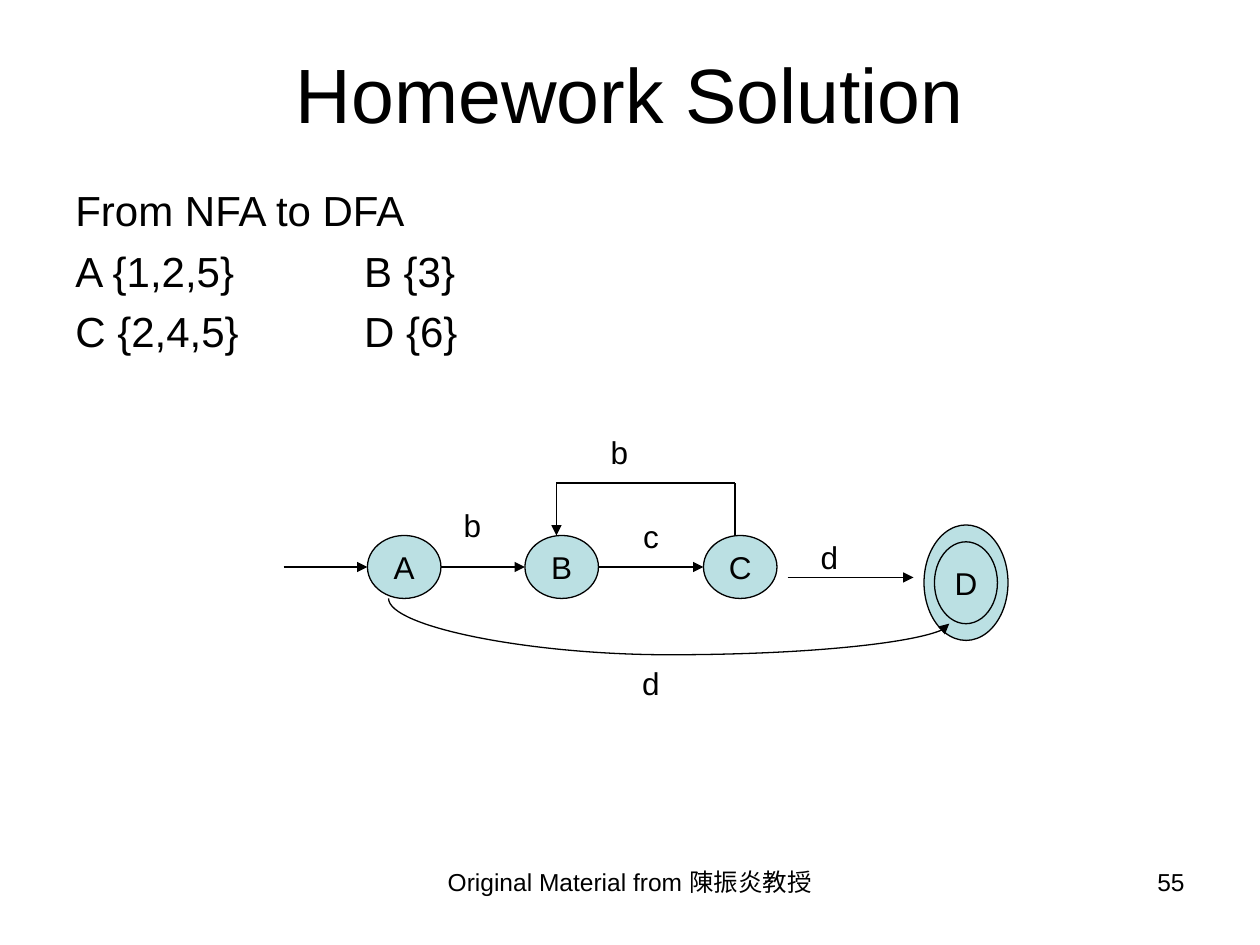
from typing import NamedTuple

from lxml import etree
from pptx import Presentation
from pptx.dml.color import RGBColor
from pptx.enum.shapes import MSO_CONNECTOR, MSO_SHAPE
from pptx.enum.text import MSO_ANCHOR, PP_ALIGN
from pptx.oxml.ns import qn
from pptx.util import Pt

PX = 7620  # EMU; 120 px to the inch
OVAL = MSO_SHAPE.OVAL
STRAIGHT, CURVE = MSO_CONNECTOR.STRAIGHT, MSO_CONNECTOR.CURVE
LEFT, CENTER, RIGHT = PP_ALIGN.LEFT, PP_ALIGN.CENTER, PP_ALIGN.RIGHT
TOP, MIDDLE = MSO_ANCHOR.TOP, MSO_ANCHOR.MIDDLE
COLORS = {"ink": "000000", "state": "BBE0E3"}
FONT = "Arial"
LINE_WIDTH = Pt(0.75)


class Box(NamedTuple):
    x: int
    y: int
    w: int
    h: int

    def emu(self) -> list[int]:
        return [v * PX for v in self]


class State(NamedTuple):
    name: str
    box: Box


class Label(NamedTuple):
    symbol: str
    x: int
    y: int


class Edge(NamedTuple):
    x1: int
    y1: int
    x2: int
    y2: int
    arrow: bool = True


class Caption(NamedTuple):
    lines: list[str]
    box: Box
    size: int
    align: PP_ALIGN
    anchor: MSO_ANCHOR = TOP


AXIS_Y = 540
STATE_W, STATE_H = 70, 60
STATES = [State(name, Box(x, AXIS_Y - STATE_H // 2, STATE_W, STATE_H))
          for name, x in (("A", 350), ("B", 500), ("C", 670))]
FINAL_RING = State("", Box(880, 500, 80, 110))
FINAL_CORE = State("D", Box(890, 516, 60, 78))

LOOP_Y, STATE_TOP = 460, AXIS_Y - STATE_H // 2
EDGES = [
    Edge(270, AXIS_Y, 350, AXIS_Y),
    Edge(420, AXIS_Y, 500, AXIS_Y),
    Edge(570, AXIS_Y, 670, AXIS_Y),
    Edge(750, 550, 870, 550),
    Edge(700, STATE_TOP, 700, LOOP_Y, False),
    Edge(700, LOOP_Y, 530, LOOP_Y, False),
    Edge(530, LOOP_Y, 530, STATE_TOP),
]
LABELS = [Label("b", 560, 410), Label("b", 420, 480), Label("c", 590, 490),
          Label("d", 590, 630), Label("d", 760, 510)]

TITLE = Caption(["Homework Solution"], Box(60, 36, 1080, 104), 44, CENTER, MIDDLE)
SUBSETS = Caption(["From NFA to DFA", "A {1,2,5}\tB {3}", "C {2,4,5}\tD {6}"],
                  Box(60, 170, 1080, 594), 24, LEFT)
SUBSETS_TAB = 275
CREDIT = Caption(["Original Material from 陳振炎教授"], Box(410, 820, 380, 62), 14, CENTER)
PAGE = Caption(["55"], Box(860, 820, 280, 62), 14, RIGHT)


def color(key: str) -> RGBColor:
    return RGBColor.from_string(COLORS[key])


def set_text(frame, lines: list[str], size: int, align, anchor, wrap: bool) -> None:
    frame.word_wrap = wrap
    frame.vertical_anchor = anchor
    frame.text = "\n".join(lines)
    for paragraph in frame.paragraphs:
        paragraph.alignment = align
        paragraph.font.size = Pt(size)
        paragraph.font.name = FONT
        paragraph.font.color.rgb = color("ink")


def add_caption(shapes, caption: Caption):
    frame = shapes.add_textbox(*caption.box.emu()).text_frame
    set_text(frame, caption.lines, caption.size, caption.align, caption.anchor, True)
    return frame


def add_label(shapes, label: Label) -> None:
    box = Box(label.x, label.y, 60, 40)
    frame = shapes.add_textbox(*box.emu()).text_frame
    set_text(frame, [label.symbol], 18, CENTER, MIDDLE, False)


def add_state(shapes, state: State) -> None:
    oval = shapes.add_shape(OVAL, *state.box.emu())
    oval.shadow.inherit = False
    oval.fill.solid()
    oval.fill.fore_color.rgb = color("state")
    oval.line.color.rgb = color("ink")
    oval.line.width = LINE_WIDTH
    if state.name:
        set_text(oval.text_frame, [state.name], 18, CENTER, MIDDLE, False)


def add_edge(shapes, edge: Edge, kind=STRAIGHT):
    ends = [v * PX for v in (edge.x1, edge.y1, edge.x2, edge.y2)]
    connector = shapes.add_connector(kind, *ends)
    connector.line.color.rgb = color("ink")
    connector.line.width = LINE_WIDTH
    properties = connector.element.spPr
    if edge.arrow:
        etree.SubElement(properties.find(qn("a:ln")), qn("a:tailEnd"), type="triangle")
    etree.SubElement(properties, qn("a:effectLst"))
    return connector


def add_arc(shapes, edge: Edge, bulge: int) -> None:
    """Curve that leaves and arrives vertically; bulge is in 1/100000 of its height."""
    mid_x, mid_y = (edge.x1 + edge.x2) // 2, (edge.y1 + edge.y2) // 2
    half_w, half_h = (edge.x2 - edge.x1) // 2, (edge.y2 - edge.y1) // 2
    turned = Edge(mid_x + half_h, mid_y - half_w, mid_x - half_h, mid_y + half_w)
    properties = add_edge(shapes, turned, CURVE).element.spPr
    properties.find(qn("a:xfrm")).set("rot", str(270 * 60000))
    guides = properties.find(qn("a:prstGeom")).find(qn("a:avLst"))
    etree.SubElement(guides, qn("a:gd"), name="adj1", fmla=f"val {bulge}")


def add_subsets(shapes) -> None:
    for paragraph in add_caption(shapes, SUBSETS).paragraphs:
        paragraph.space_before = Pt(5.8)
        tabs = etree.Element(qn("a:tabLst"))
        etree.SubElement(tabs, qn("a:tab"), pos=str(SUBSETS_TAB * PX), algn="l")
        properties = paragraph._p.get_or_add_pPr()
        properties.find(qn("a:defRPr")).addprevious(tabs)


def main() -> None:
    deck = Presentation()
    deck.slide_width, deck.slide_height = 1200 * PX, 900 * PX
    shapes = deck.slides.add_slide(deck.slide_layouts[6]).shapes

    add_caption(shapes, TITLE)
    for edge in EDGES:
        add_edge(shapes, edge)
    for state in STATES:
        add_state(shapes, state)
    final_state = shapes.add_group_shape().shapes
    for ring in (FINAL_RING, FINAL_CORE):
        add_state(final_state, ring)
    for label in LABELS:
        add_label(shapes, label)
    add_subsets(shapes)
    add_arc(shapes, Edge(370, 570, 904, 594), 223500)
    for caption in (CREDIT, PAGE):
        add_caption(shapes, caption)
    deck.save("out.pptx")


if __name__ == "__main__":
    main()
